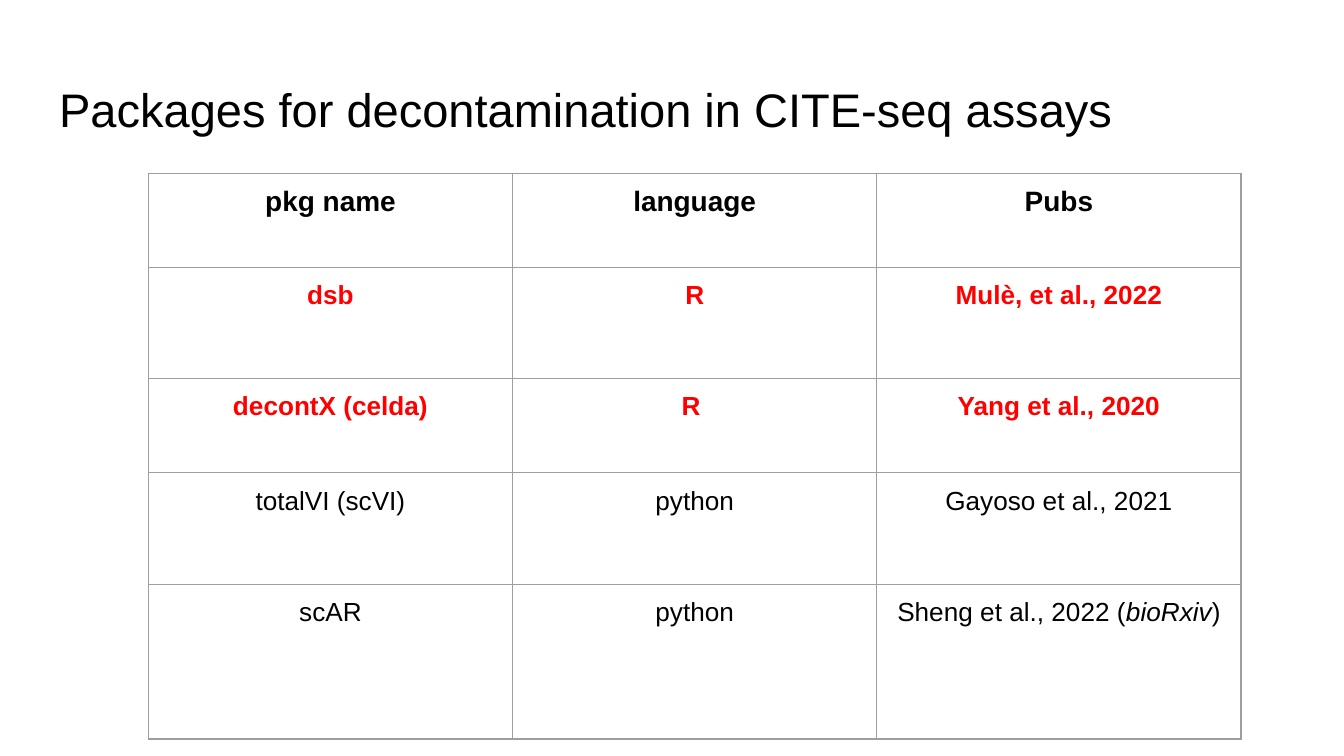
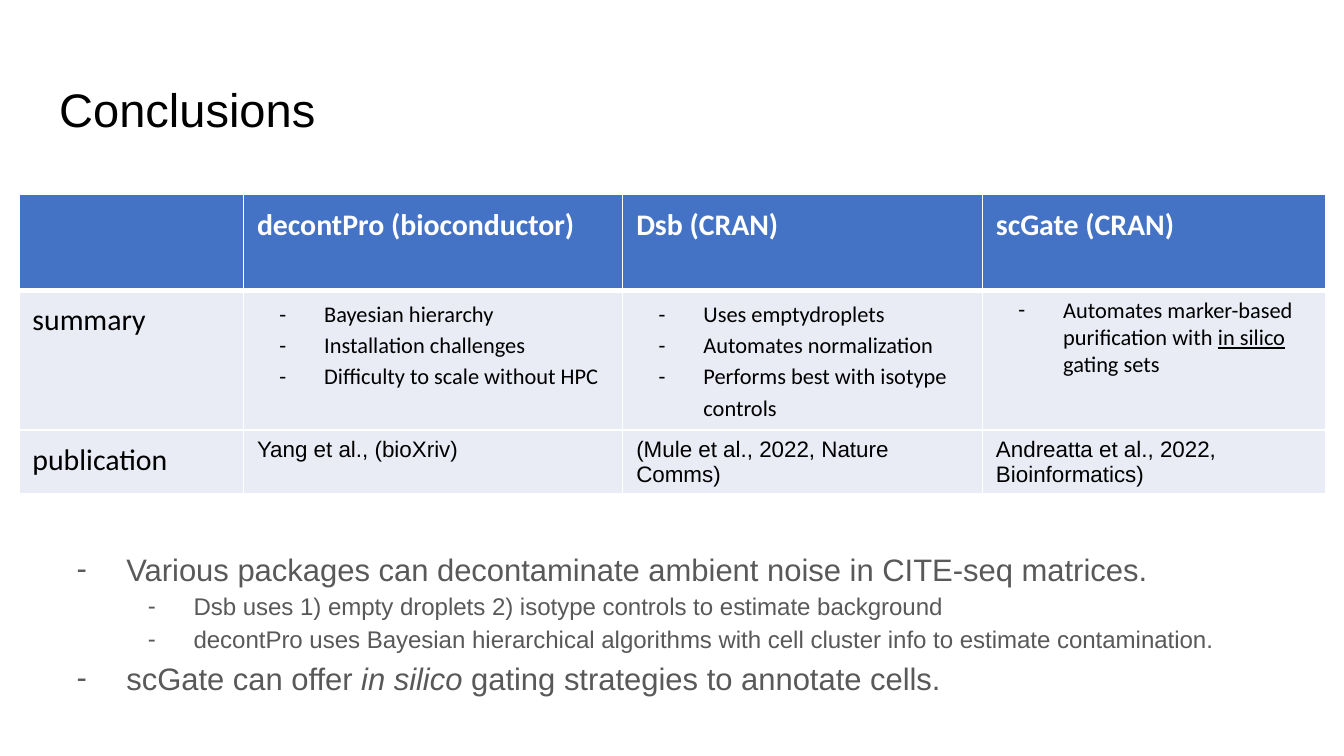
from dataclasses import dataclass, field
from typing import Any

from lxml import etree
from pptx import Presentation
from pptx.dml.color import RGBColor
from pptx.enum.text import MSO_ANCHOR, MSO_AUTO_SIZE, PP_ALIGN
from pptx.oxml.ns import qn
from pptx.util import Pt

LEFT, CENTER = PP_ALIGN.LEFT, PP_ALIGN.CENTER
TOP, MIDDLE = MSO_ANCHOR.TOP, MSO_ANCHOR.MIDDLE
NO_AUTOFIT = MSO_AUTO_SIZE.NONE
LAYOUT_CONTENT, LAYOUT_TITLE_ONLY = 1, 5
COLORS = {
    "black": "000000",
    "white": "FFFFFF",
    "red": "FF0000",
    "gray": "595959",
    "rule": "9E9E9E",
    "header": "4472C4",
    "band": "E9EBF5",
}
THIN, THICK = 0.75, 3


@dataclass(frozen=True)
class Style:
    """Font, size, colour and weight of a piece of text."""
    size: float
    color: str = "black"
    name: str = "Arial"
    bold: bool = False


@dataclass(frozen=True)
class Span:
    """A stretch of text with its own emphasis."""
    text: str
    format: dict[str, bool] = field(default_factory=dict)


@dataclass(frozen=True)
class Para:
    """A paragraph with its style, spacing and optional dash."""
    spans: tuple[Span, ...]
    style: Style
    spacing: float = 1.0
    align: Any = LEFT
    level: int = 0
    margin: float = 0
    hanging: float = 0


@dataclass(frozen=True)
class Cell:
    """Paragraphs, fill and the widths of the four borders of a cell."""
    paras: tuple[Para, ...]
    fill: str | None
    rule: str
    inset: float
    top: float = THIN
    bottom: float = THIN


@dataclass(frozen=True)
class Grid:
    """Place, column widths and row heights of a table."""
    left: float
    top: float
    widths: tuple[float, ...]
    heights: tuple[float, ...]


TITLE = Style(25.2)
PACKAGE_HEAD = Style(15, bold=True)
PACKAGE_CHOSEN = Style(14, "red", bold=True)
PACKAGE_OTHER = Style(14)
SUMMARY_HEAD = Style(16, "white", "Calibri", True)
SUMMARY_LABEL = Style(16, name="Calibri")
SUMMARY_LIST = Style(12, name="Calibri")
PUBLICATION = Style(12)
POINT = Style(16.6, "gray")
SUBPOINT = Style(12.9, "gray")
BODY_SPACING = 1.15

PACKAGE_GRID = Grid(79.5, 92.75, (195.12,) * 3, (50.4, 59.8, 50.4, 59.8, 82.8))
PACKAGES = [
    (PACKAGE_HEAD, ("pkg name", "language", "Pubs")),
    (PACKAGE_CHOSEN, ("dsb", "R", "Mulè, et al., 2022")),
    (PACKAGE_CHOSEN, ("decontX (celda)", "R ", "Yang et al., 2020")),
    (PACKAGE_OTHER, ("totalVI (scVI)", "python", "Gayoso et al., 2021")),
    (PACKAGE_OTHER, ("scAR", "python",
                     (Span("Sheng et al., 2022 ("), Span("bioRxiv", {"italic": True}), Span(")")))),
]

SUMMARY_GRID = Grid(10.2, 104.2, (120.3, 203.2, 192.7, 183.8), (51.2, 75, 34))
SUMMARY_HEADS = ("", "decontPro (bioconductor)", "Dsb (CRAN)", "scGate (CRAN)")
SUMMARIES = [
    (BODY_SPACING, ("Bayesian hierarchy", "Installation challenges", "Difficulty to scale without HPC")),
    (BODY_SPACING, ("Uses emptydroplets", "Automates normalization", "Performs best with isotype controls")),
    (1.0, ((Span("Automates marker-based purification with "),
            Span("in silico", {"underline": True}), Span(" gating sets")),)),
]
PUBLICATIONS = ("Yang et al., (bioXriv)", "(Mule et al., 2022, Nature Comms)",
                "Andreatta et al., 2022, Bioinformatics)")
CONCLUSIONS = [
    (0, "Various packages can decontaminate ambient noise in CITE-seq matrices."),
    (1, "Dsb uses 1) empty droplets 2) isotype controls to estimate background"),
    (1, "decontPro uses Bayesian hierarchical algorithms with cell cluster info to estimate contamination."),
    (0, (Span("scGate can offer "), Span("in silico", {"italic": True}),
         Span(" gating strategies to annotate cells."))),
]


def make_para(content: str | tuple[Span, ...], style: Style, **format: Any) -> Para:
    """Make a paragraph from plain text or spans."""
    spans = (Span(content),) if isinstance(content, str) else content
    return Para(spans, style, **format)


def set_values(target: Any, values: dict[str, Any]) -> None:
    """Set several attributes of one object."""
    for name, value in values.items():
        setattr(target, name, value)


def add_solid_fill(parent: Any, color: str, tag: str = "a:solidFill") -> None:
    """Append a colour element holding one RGB value."""
    holder = etree.SubElement(parent, qn(tag))
    etree.SubElement(holder, qn("a:srgbClr"), val=COLORS[color])


def add_dash(paragraph: Any, para: Para) -> None:
    """Give a paragraph a hanging dash."""
    properties = paragraph._p.get_or_add_pPr()
    properties.set("marL", str(Pt(para.margin)))
    properties.set("indent", str(-Pt(para.hanging)))
    add_solid_fill(properties, para.style.color, "a:buClr")
    etree.SubElement(properties, qn("a:buFont"), typeface=para.style.name)
    etree.SubElement(properties, qn("a:buChar"), char="-")


def write_paras(frame: Any, paras: tuple[Para, ...]) -> None:
    """Write paragraphs into a text frame."""
    for index, para in enumerate(paras):
        paragraph = frame.paragraphs[0] if index == 0 else frame.add_paragraph()
        if para.hanging:
            add_dash(paragraph, para)
        set_values(paragraph, {"level": para.level, "alignment": para.align, "line_spacing": para.spacing,
                               "space_before": Pt(0), "space_after": Pt(0)})
        style = para.style
        for span in para.spans:
            run = paragraph.add_run()
            run.text = span.text
            set_values(run.font, {"name": style.name, "size": Pt(style.size), "bold": style.bold} | span.format)
            run.font.color.rgb = RGBColor.from_string(COLORS[style.color])


def fill_placeholder(box: Any, top: float, height: float, anchor: Any, paras: tuple[Para, ...]) -> None:
    """Move a placeholder and write its paragraphs."""
    set_values(box, {"left": Pt(24.5), "top": Pt(top), "width": Pt(671), "height": Pt(height)})
    frame = box.text_frame
    set_values(frame, {"margin_left": Pt(7.2), "margin_right": Pt(7.2), "margin_top": Pt(7.2),
                       "margin_bottom": Pt(7.2), "vertical_anchor": anchor, "word_wrap": True,
                       "auto_size": NO_AUTOFIT})
    write_paras(frame, paras)


def add_page(deck: Any, layout: int, title: str) -> Any:
    """Add a page with the shared title style."""
    page = deck.slides.add_slide(deck.slide_layouts[layout])
    fill_placeholder(page.shapes.title, 35.3, 45.4, MIDDLE, (make_para(title, TITLE),))
    return page


def draw_cell(target: Any, cell: Cell) -> None:
    """Write, fill and border one table cell."""
    set_values(target, {"margin_left": Pt(7.2), "margin_right": Pt(7.2), "margin_top": Pt(cell.inset),
                        "margin_bottom": Pt(cell.inset), "vertical_anchor": TOP})
    write_paras(target.text_frame, cell.paras)
    properties = target._tc.get_or_add_tcPr()
    for side, width in zip("LRTB", (THIN, THIN, cell.top, cell.bottom)):
        line = etree.SubElement(properties, qn(f"a:ln{side}"), w=str(Pt(width)))
        add_solid_fill(line, cell.rule)
    if cell.fill is None:
        target.fill.background()
    else:
        target.fill.solid()
        target.fill.fore_color.rgb = RGBColor.from_string(COLORS[cell.fill])


def add_grid(page: Any, grid: Grid, rows: list[list[Cell]]) -> None:
    """Add a table and draw its cells."""
    table = page.shapes.add_table(
        len(grid.heights), len(grid.widths), Pt(grid.left), Pt(grid.top),
        Pt(sum(grid.widths)), Pt(sum(grid.heights))).table
    set_values(table, {"first_row": False, "horz_banding": False})
    for column, width in zip(table.columns, grid.widths):
        column.width = Pt(width)
    for row, height, cells in zip(table.rows, grid.heights, rows):
        row.height = Pt(height)
        for target, cell in zip(row.cells, cells):
            draw_cell(target, cell)


def add_packages(deck: Any) -> None:
    """Add the page that lists decontamination packages."""
    page = add_page(deck, LAYOUT_TITLE_ONLY, "Packages for decontamination in CITE-seq assays")
    rows = [[Cell((make_para(text, style, align=CENTER),), None, "rule", 7.2) for text in texts]
            for style, texts in PACKAGES]
    add_grid(page, PACKAGE_GRID, rows)


def summary_row(contents: list[tuple[Para, ...]], fill: str, **borders: float) -> list[Cell]:
    """Make one row of the summary table."""
    return [Cell(paras, fill, "white", 3.6, **borders) for paras in contents]


def add_conclusions(deck: Any) -> None:
    """Add the page that compares packages and concludes."""
    page = add_page(deck, LAYOUT_CONTENT, "Conclusions")
    points = tuple(
        make_para(text, SUBPOINT if level else POINT, spacing=BODY_SPACING, level=level,
                  margin=36 * (level + 1), hanging=24.5 if level else 26.6)
        for level, text in CONCLUSIONS)
    fill_placeholder(page.placeholders[1], 284.5, 132.5, TOP, points)
    heads = [(make_para(text, SUMMARY_HEAD, spacing=BODY_SPACING),) if text else () for text in SUMMARY_HEADS]
    labels = [(make_para(text, SUMMARY_LABEL, spacing=BODY_SPACING),) for text in ("summary", "publication")]
    lists = [tuple(make_para(item, SUMMARY_LIST, spacing=spacing, margin=36, hanging=24) for item in items)
             for spacing, items in SUMMARIES]
    sources = [(make_para(text, PUBLICATION),) for text in PUBLICATIONS]
    add_grid(page, SUMMARY_GRID, [
        summary_row(heads, "header", bottom=THICK),
        summary_row([labels[0], *lists], "band", top=THICK),
        summary_row([labels[1], *sources], "band"),
    ])


def main() -> None:
    """Build and save the deck."""
    deck = Presentation()
    set_values(deck, {"slide_width": Pt(720), "slide_height": Pt(405)})
    add_packages(deck)
    add_conclusions(deck)
    deck.save("out.pptx")


if __name__ == "__main__":
    main()
